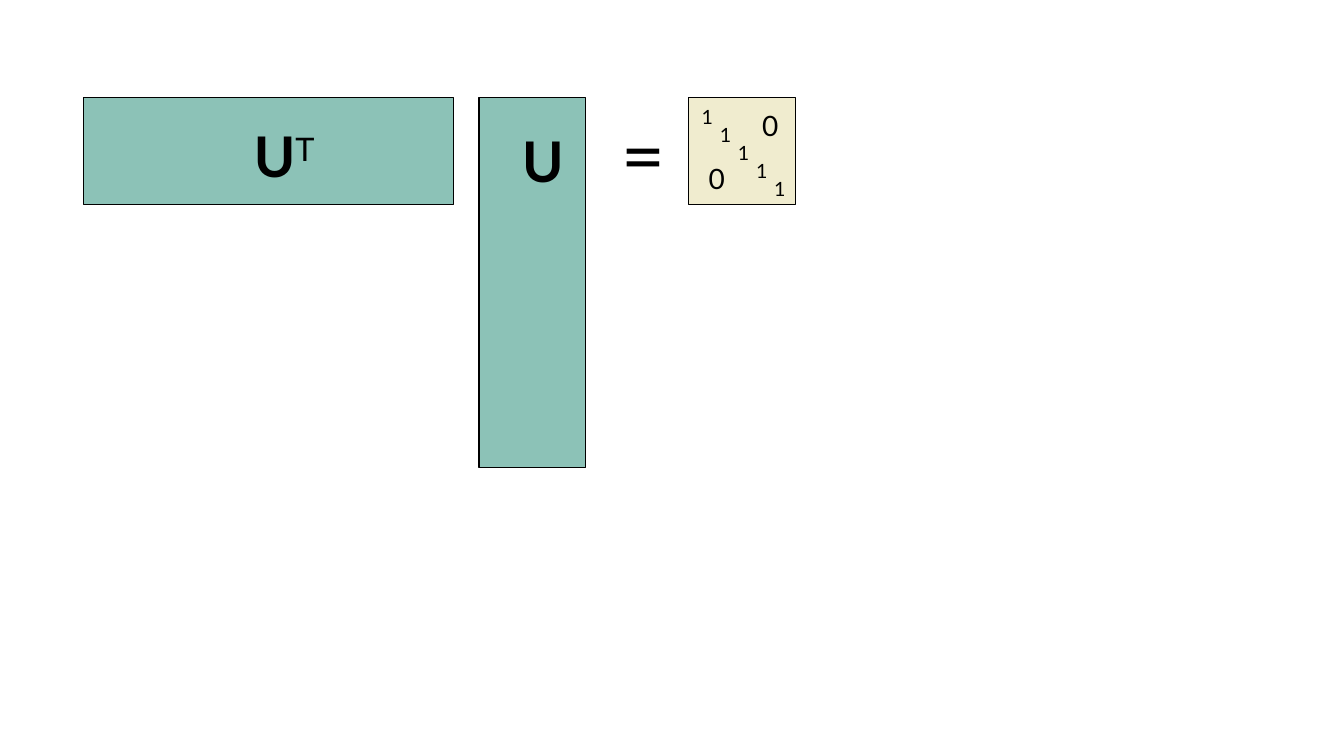
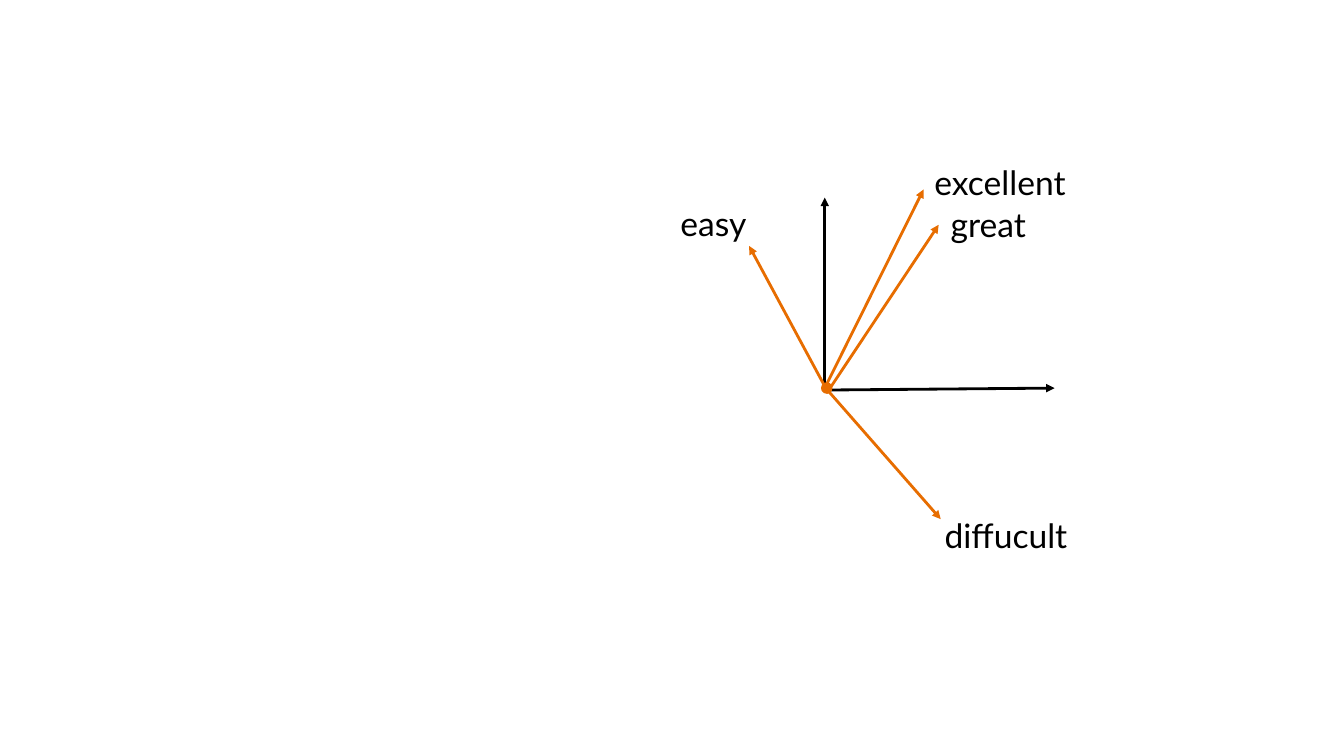
"""Build two slides: an orthonormal matrix product and word vectors on axes."""
from lxml.etree import SubElement
from pptx import Presentation
from pptx.dml.color import RGBColor
from pptx.enum.shapes import MSO_CONNECTOR, MSO_SHAPE
from pptx.enum.text import MSO_AUTO_SIZE
from pptx.oxml.ns import qn
from pptx.util import Inches, Pt

COLORS = {"ink": "000000", "matrix": "8CC2B7", "identity": "DFD693", "vector": "E76D00"}
FONT = "Lato"
BLANK_LAYOUT = 6

LONG, SHORT, MATRIX_TOP = 3.67, 1.06, 0.97
MATRICES = [
    (0.83, LONG, SHORT, "matrix", 100),
    (4.75, SHORT, LONG, "matrix", 100),
    (6.83, SHORT, SHORT, "identity", 44),
]
MATRIX_LABELS = [
    ([("U", True, 0), ("T", False, 30)], 40, (2.42, 1.16, 0.89, 0.77)),
    ([("U", True, 0)], 40, (5.08, 1.21, 0.89, 0.77)),
    ([("=", False, 0)], 54, (6.07, 1.02, 0.79, 1.01)),
    ([("0", False, 0)], 20, (7.46, 1.03, 0.48, 0.44)),
    ([("0", False, 0)], 20, (6.93, 1.55, 0.48, 0.44)),
]
DIAGONAL_COUNT, DIAGONAL_START, DIAGONAL_STEP = 5, (6.86, 0.99), 0.18

AXES = [((8.16, 3.87), (10.46, 3.85)), ((8.18, 3.86), (8.18, 1.96))]
ORIGIN_DOT = (8.15, 3.8, 0.1, 0.1)
WORD_VECTORS = [
    ("great", (8.2, 3.9), (9.31, 2.23), (9.33, 1.97, 1.84, 0.5)),
    ("excellent", (8.18, 3.85), (9.16, 1.88), (9.17, 1.56, 1.84, 0.5)),
    ("easy", (8.19, 3.85), (7.43, 2.44), (6.65, 1.96, 0.93, 0.5)),
    ("diffucult", (8.19, 3.85), (9.33, 5.15), (9.27, 5.06, 1.84, 0.5)),
]


def rgb(name):
    """Return the named colour."""
    return RGBColor.from_string(COLORS[name])


def add_figure(slide, kind, box, fill, line, opacity=100):
    """Add a filled, outlined shape, see-through below full opacity."""
    shape = slide.shapes.add_shape(kind, *map(Inches, box))
    shape.shadow.inherit = False
    shape.fill.solid()
    shape.fill.fore_color.rgb = rgb(fill)
    shape.line.color.rgb = rgb(line)
    shape.line.width = Pt(1)
    if opacity < 100:
        color = shape._element.spPr.find(qn("a:solidFill"))[0]
        SubElement(color, qn("a:alpha"), val=str(opacity * 1000))


def add_label(slide, runs, size, box):
    """Add a text box from (text, bold, baseline percent) runs."""
    frame = slide.shapes.add_textbox(*map(Inches, box)).text_frame
    frame.word_wrap = True
    frame.auto_size = MSO_AUTO_SIZE.SHAPE_TO_FIT_TEXT
    for text, bold, baseline in runs:
        run = frame.paragraphs[0].add_run()
        run.text = text
        run.font.name = FONT
        run.font.size = Pt(size)
        run.font.bold = bold
        run.font.color.rgb = rgb("ink")
        if baseline:
            run._r.get_or_add_rPr().set("baseline", str(baseline * 1000))


def add_arrow(slide, start, end, color):
    """Add a straight arrow from start to end."""
    arrow = slide.shapes.add_connector(MSO_CONNECTOR.STRAIGHT, *map(Inches, start + end))
    arrow.line.color.rgb = rgb(color)
    arrow.line.width = Pt(2)
    SubElement(arrow.line._get_or_add_ln(), qn("a:tailEnd"), type="triangle")
    SubElement(arrow._element.spPr, qn("a:effectLst"))


def build_matrix_slide(slide):
    """Draw the product of the two matrices and its identity result."""
    for left, width, height, fill, opacity in MATRICES:
        box = (left, MATRIX_TOP, width, height)
        add_figure(slide, MSO_SHAPE.RECTANGLE, box, fill, "ink", opacity)
    for runs, size, box in MATRIX_LABELS:
        add_label(slide, runs, size, box)
    left, top = DIAGONAL_START
    for index in range(DIAGONAL_COUNT):
        offset = index * DIAGONAL_STEP
        add_label(slide, [("1", False, 0)], 14, (left + offset, top + offset, 0.48, 0.34))


def build_vector_slide(slide):
    """Draw the axes and the labelled word vectors."""
    for start, end in AXES:
        add_arrow(slide, start, end, "ink")
    add_figure(slide, MSO_SHAPE.OVAL, ORIGIN_DOT, "vector", "vector")
    for word, start, end, box in WORD_VECTORS:
        add_arrow(slide, start, end, "vector")
        add_label(slide, [(word, False, 0)], 24, box)


def main():
    """Build and save the presentation."""
    presentation = Presentation()
    presentation.slide_width = Inches(13.33)
    presentation.slide_height = Inches(7.5)
    for build in (build_matrix_slide, build_vector_slide):
        build(presentation.slides.add_slide(presentation.slide_layouts[BLANK_LAYOUT]))
    presentation.save("out.pptx")


if __name__ == "__main__":
    main()
